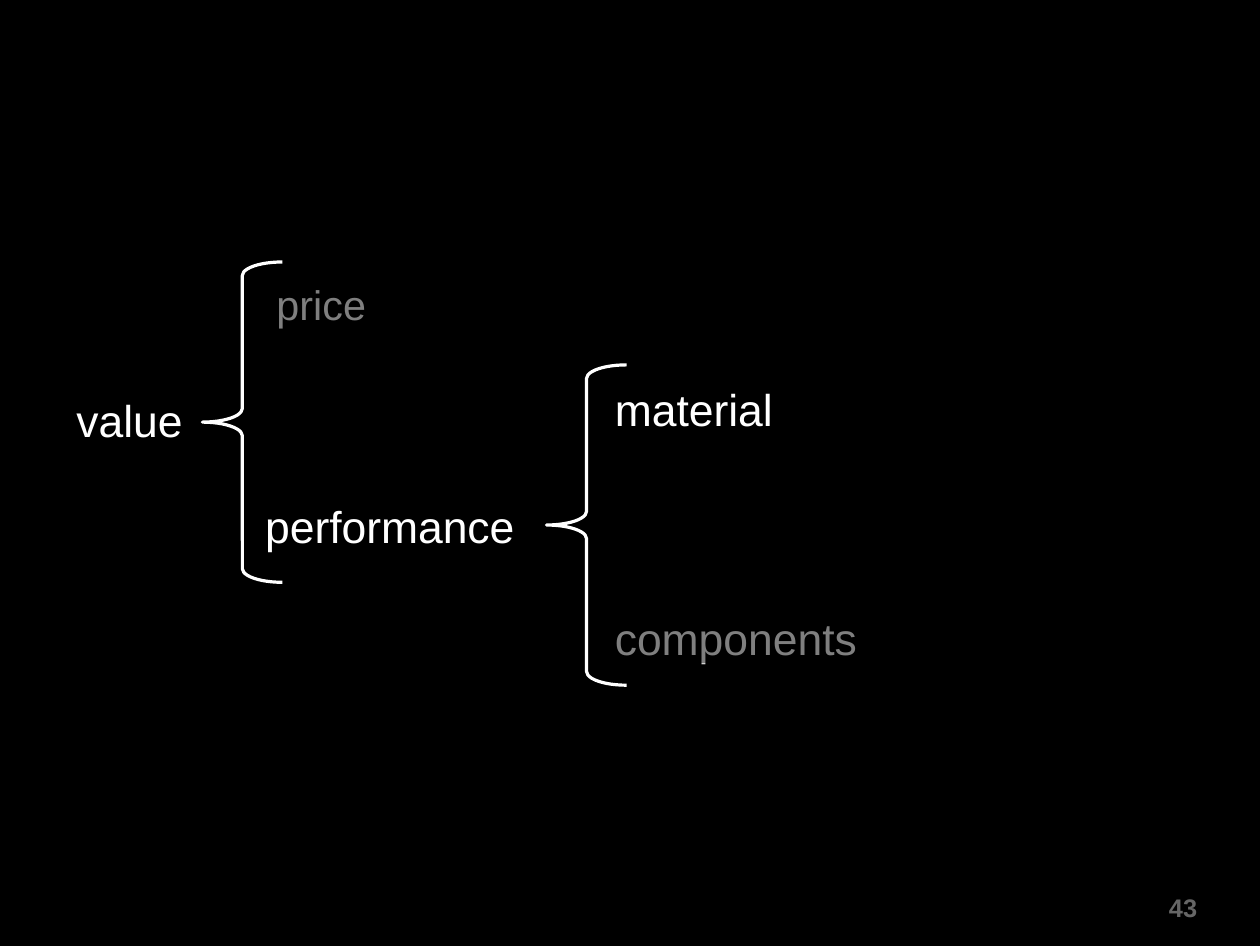
from pptx import Presentation
from pptx import util as u
from pptx.dml.color import RGBColor
from pptx.enum import shapes, text
from pptx.oxml import parse_xml
from pptx.oxml.ns import nsdecls

hues = {"back": "000000", "ink": "FFFFFF", "page": "666666"}
deck = Presentation()
deck.slide_width, deck.slide_height = u.Inches(11.02), u.Inches(8.27)
slide = deck.slides.add_slide(deck.slide_layouts[6])
slide.background.fill.solid()
slide.background.fill.fore_color.rgb = RGBColor.from_string(hues["back"])


def area(left, top, wide, high):
    across, down = deck.slide_width / 100, deck.slide_height / 100
    return [int(v) for v in (left * across, top * down, wide * across, high * down)]


def label(words, place, size=28, hue="ink", bold=False, side="LEFT", pad=(0.1, 0.05)):
    frame = slide.shapes.add_textbox(*area(*place)).text_frame
    margins = {"margin_left": pad[0], "margin_right": pad[0],
               "margin_top": pad[1], "margin_bottom": pad[1]}
    for name, value in margins.items():
        setattr(frame, name, u.Inches(value))
    frame.word_wrap = True
    line = frame.paragraphs[0]
    line.alignment = getattr(text.PP_ALIGN, side)
    run = line.add_run()
    run.text = words
    for name, value in {"name": "Arial", "size": u.Pt(size), "bold": bold}.items():
        setattr(run.font, name, value)
    run.font.color.rgb = RGBColor.from_string(hues[hue])


for left, top in [(16.06, 27.69), (43.38, 38.57)]:
    brace = slide.shapes.add_shape(shapes.MSO_SHAPE.LEFT_BRACE, *area(left, top, 6.35, 33.86))
    brace.shadow.inherit = False
    brace.adjustments[0] = 0.17
    brace.fill.background()
    brace.line.color.rgb = RGBColor.from_string(hues["ink"])
    brace.line.width = u.Pt(2)

label("value", (5.17, 40.99, 11.8, 6.41))
label("price", (21.05, 28.9, 19.06, 6.05), size=26)
label("performance", (20.15, 52.12, 24.5, 8.22))
for row, words in enumerate(["material", "components"]):
    label(words, (47.91, 39.78 + row * 24.18, 24.5, 8.22))

for place in [(20.96, 29.14, 9.98, 5.93), (48.19, 64.09, 20.87, 6.05)]:
    veil = slide.shapes.add_shape(shapes.MSO_SHAPE.RECTANGLE, *area(*place))
    veil.shadow.inherit = False
    veil.line.fill.background()
    veil.fill.solid()
    veil.fill.fore_color.rgb = RGBColor.from_string(hues["back"])
    tint = veil.fill._xPr.find(".//{*}srgbClr")
    tint.append(parse_xml(f'<a:alpha {nsdecls("a")} val="50000"/>'))

label("43", (71.69, 94.32, 23.32, 3.63), size=16, hue="page", bold=True, side="RIGHT", pad=(0, 0))

deck.save("out.pptx")
